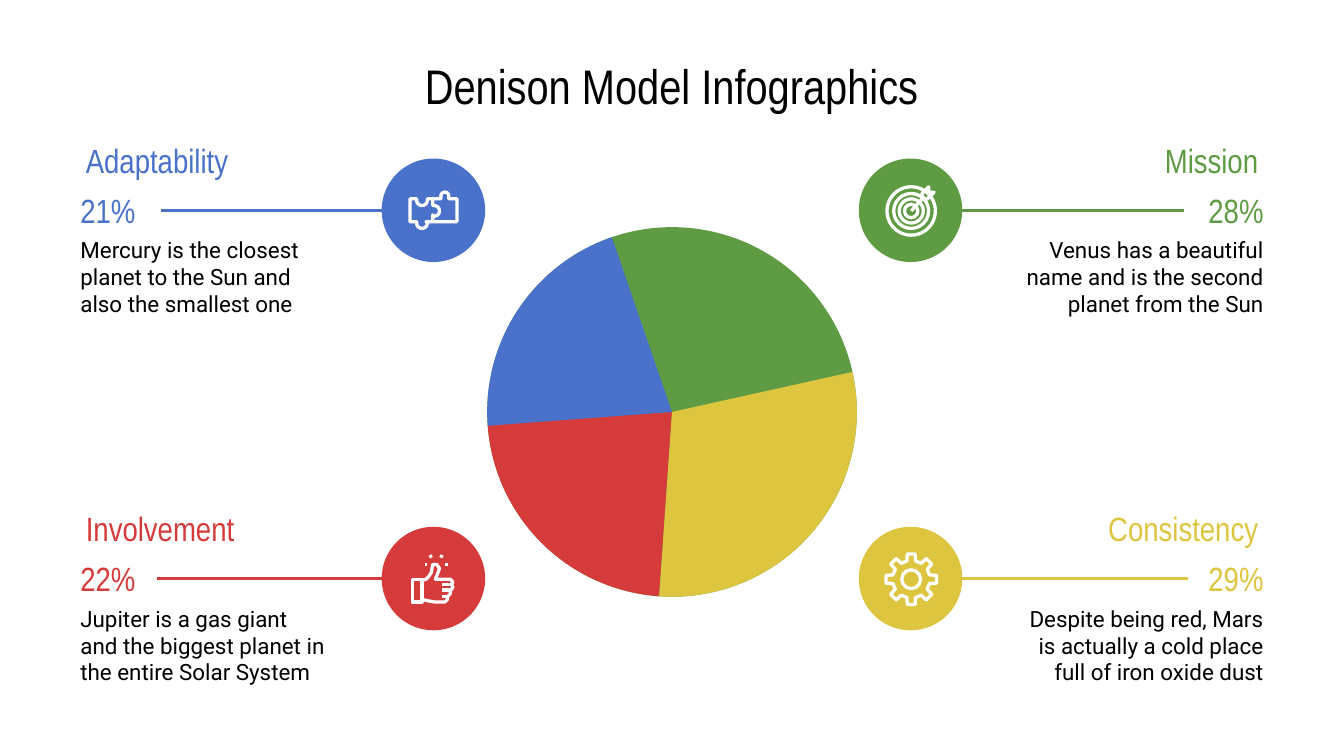
from dataclasses import dataclass
from math import cos, pi, radians, sin

from lxml import etree
from pptx import Presentation
from pptx.dml.color import RGBColor
from pptx.enum.shapes import MSO_CONNECTOR, MSO_SHAPE
from pptx.enum.text import MSO_ANCHOR, PP_ALIGN
from pptx.oxml.ns import qn
from pptx.util import Inches, Pt

OVAL, PIE, RECT = MSO_SHAPE.OVAL, MSO_SHAPE.PIE, MSO_SHAPE.RECTANGLE
STRAIGHT = MSO_CONNECTOR.STRAIGHT
LEFT, CENTER, RIGHT = PP_ALIGN.LEFT, PP_ALIGN.CENTER, PP_ALIGN.RIGHT
TOP, MIDDLE = MSO_ANCHOR.TOP, MSO_ANCHOR.MIDDLE

COLORS = {
    "blue": "4A72CA", "green": "5E9B43", "red": "D63B3B",
    "yellow": "DDC53F", "black": "000000", "white": "FFFFFF",
}
HEAD_FONT, BODY_FONT = "Arial Narrow", "Roboto"
SLIDE_W = 10
SLIDE_H = SLIDE_W * 9 / 16
DISC = 0.77
PIE_SIZE = 2.75
TEXT_W = 2.04
ROW_1, ROW_2 = 0.94, 3.68
ICON_WEIGHT = 1.75


@dataclass
class Trait:
    name: str
    percent: str
    note: str
    color: str
    on_right: bool
    top: float        # top of the name box
    line_end: float   # end of the line beside the percentage


@dataclass
class Slice:
    color: str
    start: float      # degrees clockwise from 3 o'clock
    end: float


TRAITS = [
    Trait("Adaptability", "21%", "Mercury is the closest planet to the Sun and also the smallest one",
          "blue", False, ROW_1, 1.2),
    Trait("Mission", "28%", "Venus has a beautiful name and is the second planet from the Sun",
          "green", True, ROW_1, 8.81),
    Trait("Involvement", "22%", "Jupiter is a gas giant and the biggest planet in the entire Solar System",
          "red", False, ROW_2, 1.17),
    Trait("Consistency", "29%", "Despite being red, Mars is actually a cold place full of iron oxide dust",
          "yellow", True, ROW_2, 8.84),
]
SLICES = [Slice("red", 94, 176), Slice("yellow", 347.5, 94), Slice("blue", 175.7, 251)]

prs = Presentation()
prs.slide_width, prs.slide_height = Inches(SLIDE_W), Inches(SLIDE_H)
s = prs.slides.add_slide(prs.slide_layouts[6])


def rgb(name: str) -> RGBColor:
    return RGBColor.from_string(COLORS[name])


def add_text(text: str, x: float, y: float, w: float, h: float, size: float,
             color: str, font: str, align=LEFT, anchor=TOP) -> None:
    tf = s.shapes.add_textbox(Inches(x), Inches(y), Inches(w), Inches(h)).text_frame
    tf.word_wrap = True
    tf.vertical_anchor = anchor
    tf.margin_left = tf.margin_right = tf.margin_top = tf.margin_bottom = Inches(0.1)
    p = tf.paragraphs[0]
    p.text = text
    p.alignment = align
    r = p.runs[0]
    r.font.name, r.font.size = font, Pt(size)
    r.font.color.rgb = rgb(color)


def outline(sp) -> None:
    sp.shadow.inherit = False
    sp.fill.background()
    sp.line.color.rgb = rgb("white")
    sp.line.width = Pt(ICON_WEIGHT)


def add_shape(kind, x: float, y: float, w: float, h: float, color: str = ""):
    """Filled shape, or a white outline when no colour is given."""
    sp = s.shapes.add_shape(kind, Inches(x), Inches(y), Inches(w), Inches(h))
    if color:
        sp.shadow.inherit = False
        sp.fill.solid()
        sp.fill.fore_color.rgb = rgb(color)
        sp.line.fill.background()
    else:
        outline(sp)
    return sp


def add_ring(cx: float, cy: float, radius: float) -> None:
    add_shape(OVAL, cx - radius, cy - radius, 2 * radius, 2 * radius)


def add_line(x1: float, y1: float, x2: float, y2: float,
             color: str = "white", weight: float = ICON_WEIGHT) -> None:
    c = s.shapes.add_connector(STRAIGHT, Inches(x1), Inches(y1), Inches(x2), Inches(y2))
    c.line.color.rgb = rgb(color)
    c.line.width = Pt(weight)
    etree.SubElement(c._element.spPr, qn("a:effectLst"))


def add_path(points: list[tuple[float, float]], close: bool = True) -> None:
    pts = [(Inches(x), Inches(y)) for x, y in points]
    fb = s.shapes.build_freeform(*pts[0])
    fb.add_line_segments(pts[1:], close=close)
    outline(fb.convert_to_shape())


def arc(cx: float, cy: float, radius: float, start: float, end: float) -> list[tuple[float, float]]:
    angles = [radians(start + (end - start) * i / 12) for i in range(13)]
    return [(cx + radius * cos(a), cy + radius * sin(a)) for a in angles]


def draw_puzzle() -> None:
    add_path([(3.05, 1.48), (3.1, 1.48), *arc(3.14, 1.49, 0.04, 180, 0), (3.18, 1.48),
              (3.28, 1.48), *arc(3.31, 1.46, 0.03, 160, 380), (3.34, 1.48),
              (3.4, 1.48), (3.4, 1.65), (3.17, 1.65), *arc(3.14, 1.66, 0.04, 0, 180),
              (3.1, 1.65), (3.05, 1.65)])
    add_path([(3.22, 1.48), (3.22, 1.53), *arc(3.23, 1.57, 0.04, -90, 90),
              (3.22, 1.6), (3.22, 1.65)], close=False)


def draw_target() -> None:
    for radius in (0.05, 0.09, 0.13, 0.18):
        add_ring(6.78, 1.57, radius)
    add_line(6.78, 1.57, 6.88, 1.46)
    add_path([(6.86, 1.44), (6.91, 1.39), (6.91, 1.43), (6.95, 1.43), (6.9, 1.48), (6.86, 1.48)])


def draw_thumb() -> None:
    add_shape(RECT, 3.07, 4.31, 0.07, 0.17)
    add_path([(3.14, 4.32), (3.17, 4.31), (3.19, 4.29), (3.21, 4.26), (3.22, 4.2), (3.25, 4.2),
              (3.27, 4.23), (3.26, 4.26), (3.24, 4.31), (3.35, 4.31), (3.37, 4.33), (3.36, 4.35),
              (3.37, 4.37), (3.35, 4.4), (3.35, 4.42), (3.33, 4.44), (3.33, 4.46), (3.31, 4.48),
              (3.24, 4.48), (3.18, 4.47), (3.14, 4.46)])
    for y, end in ((4.35, 3.36), (4.39, 3.36), (4.44, 3.34)):
        add_line(3.29, y, end, y)
    for spark in ((3.2, 4.13, 3.21, 4.15), (3.29, 4.13, 3.28, 4.15),
                  (3.31, 4.2, 3.33, 4.2), (3.16, 4.2, 3.18, 4.2)):
        add_line(*spark)


def draw_gear() -> None:
    cx, cy = 6.78, 4.31
    tooth = ((0.14, -13), (0.19, -9), (0.19, 9), (0.14, 13))
    add_path([(cx + d * cos(i * pi / 4 + radians(a)), cy + d * sin(i * pi / 4 + radians(a)))
              for i in range(8) for d, a in tooth])
    add_ring(cx, cy, 0.07)


def draw_trait(t: Trait) -> None:
    align = RIGHT if t.on_right else LEFT
    disc_x = 6.39 if t.on_right else 2.84
    disc_y = t.top + 0.24
    text_x = SLIDE_W - 0.5 - TEXT_W if t.on_right else 0.5
    line_start = disc_x + DISC if t.on_right else disc_x
    mid = disc_y + DISC / 2
    add_shape(OVAL, disc_x, disc_y, DISC, DISC, t.color)
    add_line(line_start, mid, t.line_end, mid, t.color, 1.5)
    add_text(t.name, 7.58 if t.on_right else 0.54, t.top, 1.88, 0.41, 18, t.color, HEAD_FONT, align)
    add_text(t.percent, text_x, t.top + 0.37, TEXT_W, 0.52, 18, t.color, HEAD_FONT, align)
    add_text(t.note, text_x, t.top + 0.72, TEXT_W, 0.79, 12, "black", BODY_FONT, align)


# Title
add_text("Denison Model Infographics", 0.5, 0.45, 9, 0.37, 26, "black", HEAD_FONT, CENTER, MIDDLE)

# Central pie: a green disc with the other slices on top
PIE_BOX = ((SLIDE_W - PIE_SIZE) / 2, 1.69, PIE_SIZE, PIE_SIZE)
add_shape(OVAL, *PIE_BOX, "green")
for part in SLICES:
    sp = add_shape(PIE, *PIE_BOX, part.color)
    # Angles are stored in 1/60000 degree, adjustments in 1/100000
    sp.adjustments[0], sp.adjustments[1] = part.start * 0.6, part.end * 0.6

# Four traits, then their icons
for trait in TRAITS:
    draw_trait(trait)
for draw_icon in (draw_puzzle, draw_target, draw_thumb, draw_gear):
    draw_icon()

prs.save("out.pptx")
